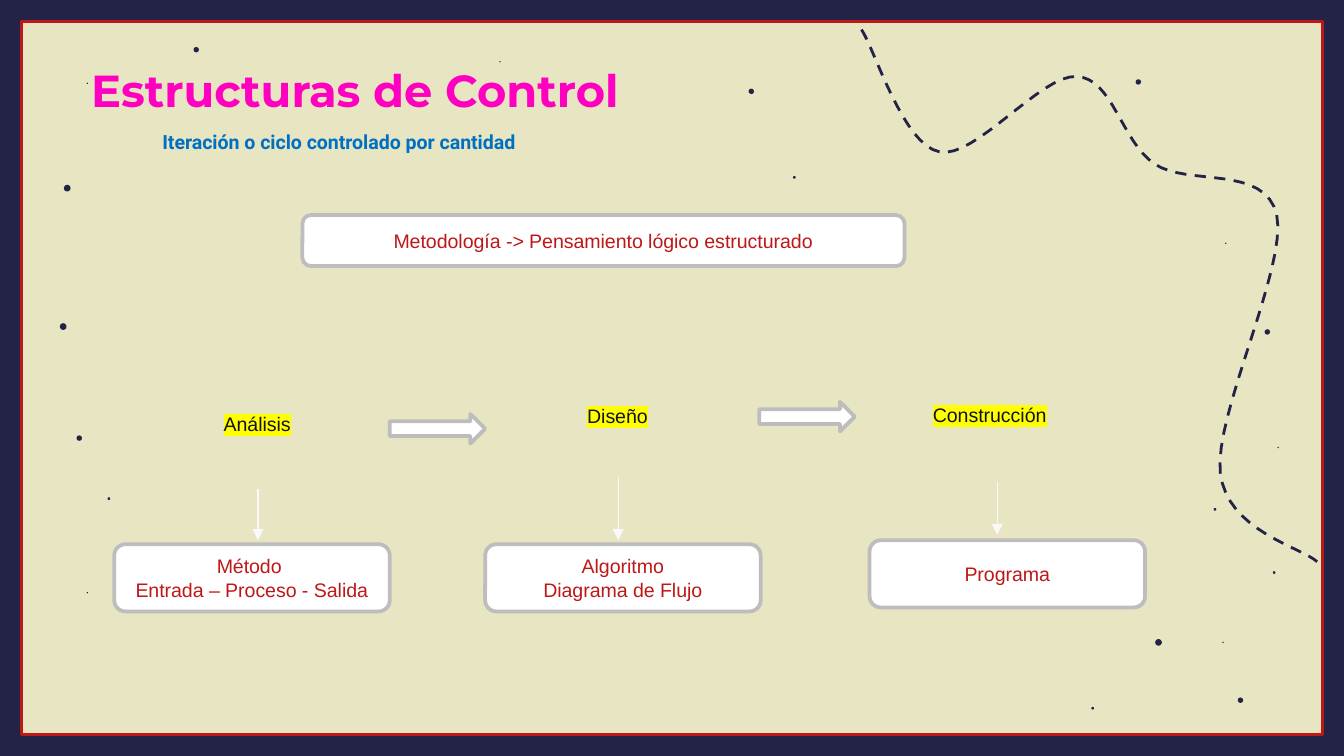
from lxml import etree
from pptx import Presentation
from pptx.dml.color import RGBColor
from pptx.enum import dml, shapes, text
from pptx.oxml.ns import qn
from pptx.util import Inches, Pt

NAVY, CREAM, RED, WHITE, GRAY = "232347", "E8E5C3", "BD1717", "FFFFFF", "BDBDBD"
INK, YELLOW, PINK, BLUE, PALE = "121224", "FFFF00", "FF00C1", "0070C0", "F9F9F9"
W, BAR = 10, 0.16
H = W * 9 / 16
SHAPE = shapes.MSO_SHAPE

# Bézier path: start point, then two controls and an end point per segment
TRAIL = [(6.41, 0.22), (6.51, 0.37), (6.72, 1.08), (6.99, 1.13),
         (7.25, 1.19), (7.75, 0.55), (8.01, 0.57),
         (8.28, 0.58), (8.34, 1.05), (8.59, 1.22),
         (8.84, 1.39), (9.41, 1.22), (9.5, 1.6),
         (9.58, 1.99), (9.03, 3.09), (9.08, 3.52),
         (9.13, 3.95), (9.68, 4.07), (9.8, 4.18)]

# Dot centres by diameter
DOTS = {
    0.05: [(8.62, 4.78), (0.5, 1.4), (0.47, 2.43)],
    0.04: [(5.59, 0.68), (9.23, 5.21), (9.43, 2.47), (0.59, 3.26),
           (8.47, 0.61), (1.46, 0.37)],
    0.02: [(0.81, 3.71), (9.04, 3.79), (5.91, 1.32), (9.48, 4.26), (8.13, 5.27)],
    0.01: [(9.1, 4.78), (9.12, 1.81), (3.72, 0.46), (0.65, 4.41),
           (9.51, 3.33), (0.65, 0.62)],
}


def rgb(color):
    return RGBColor.from_string(color)


def add_shape(s, kind, x, y, w, h, fill=None, line=None, width=2):
    sp = s.shapes.add_shape(kind, Inches(x), Inches(y), Inches(w), Inches(h))
    sp.shadow.inherit = False
    if fill:
        sp.fill.solid()
        sp.fill.fore_color.rgb = rgb(fill)
    else:
        sp.fill.background()
    if line:
        sp.line.color.rgb = rgb(line)
        sp.line.width = Pt(width)
    else:
        sp.line.fill.background()
    return sp


def write(sp, words, color, size=10.5, font="Arial", bold=False,
          align=text.PP_ALIGN.CENTER, anchor=text.MSO_ANCHOR.MIDDLE, highlight=None):
    tf = sp.text_frame
    tf.word_wrap = True
    tf.vertical_anchor = anchor
    tf.text = words
    for p in tf.paragraphs:
        p.alignment = align
        for r in p.runs:
            r.font.size, r.font.name, r.font.bold = Pt(size), font, bold
            r.font.color.rgb = rgb(color)
            if highlight:
                mark = etree.Element(qn("a:highlight"))
                etree.SubElement(mark, qn("a:srgbClr"), val=highlight)
                r.font._element.find(qn("a:latin")).addprevious(mark)


def add_text(s, x, y, w, h, words, color, **style):
    box = s.shapes.add_textbox(Inches(x), Inches(y), Inches(w), Inches(h))
    write(box, words, color, anchor=text.MSO_ANCHOR.TOP, **style)


def add_down_arrow(s, x, top, bottom):
    c = s.shapes.add_connector(shapes.MSO_CONNECTOR.STRAIGHT, Inches(x), Inches(top),
                               Inches(x), Inches(bottom))
    c.line.color.rgb = rgb(PALE)
    c.line.width = Pt(0.75)
    etree.SubElement(c.line._get_or_add_ln(), qn("a:tailEnd"), type="triangle")
    etree.SubElement(c._element.spPr, qn("a:effectLst"))


def add_frame(s, w, h):
    for x, y, bw, bh in [(0, 0, w, BAR), (0, h - BAR, w, BAR),
                         (0, 0, BAR, h), (w - BAR, 0, BAR, h)]:
        add_shape(s, SHAPE.RECTANGLE, x, y, bw, bh, NAVY)
    add_shape(s, SHAPE.RECTANGLE, BAR, BAR, w - 2 * BAR, h - 2 * BAR, line=RED, width=1.5)


def bezier_points(path, steps=16):
    for i in range(0, len(path) - 1, 3):
        a, b, c, d = path[i:i + 4]
        for n in range(1, steps + 1):
            t = n / steps
            k = 1 - t
            yield tuple(k**3 * a[j] + 3 * k * k * t * b[j] + 3 * k * t * t * c[j] + t**3 * d[j]
                        for j in (0, 1))


def add_trail(s):
    # The builder rounds its points to whole units, so they are given in EMU
    points = [(Inches(x), Inches(y)) for x, y in bezier_points(TRAIL)]
    x, y = TRAIL[0]
    fb = s.shapes.build_freeform(Inches(x), Inches(y))
    fb.add_line_segments(points, close=False)
    sp = fb.convert_to_shape()
    sp.shadow.inherit = False
    sp.fill.background()
    sp.line.color.rgb = rgb(NAVY)
    sp.line.width = Pt(1.5)
    sp.line.dash_style = dml.MSO_LINE.DASH


def add_dots(s):
    for d, centres in DOTS.items():
        for x, y in centres:
            add_shape(s, SHAPE.OVAL, x - d / 2, y - d / 2, d, d, NAVY)


def add_card(s, x, y, w, h, words):
    write(add_shape(s, SHAPE.ROUNDED_RECTANGLE, x, y, w, h, WHITE, GRAY), words, RED)


def add_stage(s, x, y, name, arrow, card, words):
    """Stage name in an oval, with an arrow (x, top, bottom) down to its card (x, y)."""
    oval = add_shape(s, SHAPE.OVAL, x, y, 1.97, 0.97, CREAM, CREAM)
    write(oval, name, INK, highlight=YELLOW)
    add_card(s, *card, 2.05, 0.5, words)
    add_down_arrow(s, *arrow)


def main():
    prs = Presentation()
    prs.slide_width, prs.slide_height = Inches(W), Inches(H)
    s = prs.slides.add_slide(prs.slide_layouts[6])
    s.background.fill.solid()
    s.background.fill.fore_color.rgb = rgb(CREAM)

    add_frame(s, W, H)
    add_trail(s)
    add_dots(s)
    add_text(s, 0.58, 0.42, 5.09, 0.5, "Estructuras de Control", PINK, size=24,
             font="Montserrat", bold=True, align=text.PP_ALIGN.LEFT)
    add_text(s, 1.11, 0.92, 4.27, 0.28, "Iteración o ciclo controlado por cantidad", BLUE,
             font="Roboto", bold=True, align=text.PP_ALIGN.JUSTIFY)
    add_card(s, 2.25, 1.6, 4.48, 0.38, "Metodología -> Pensamiento lógico estructurado")

    add_stage(s, 0.93, 2.67, "Análisis", (1.92, 3.64, 4.02), (0.85, 4.05),
              "Método \nEntrada – Proceso - Salida")
    add_stage(s, 3.61, 2.61, "Diseño", (4.6, 3.55, 4.02), (3.61, 4.05),
              "Algoritmo\nDiagrama de Flujo")
    add_stage(s, 6.38, 2.6, "Construcción", (7.42, 3.59, 3.98), (6.47, 4.02), "Programa")
    for x, y in [(2.9, 3.08), (5.65, 2.99)]:
        add_shape(s, SHAPE.RIGHT_ARROW, x, y, 0.71, 0.22, WHITE, GRAY)

    prs.save("out.pptx")


if __name__ == "__main__":
    main()
